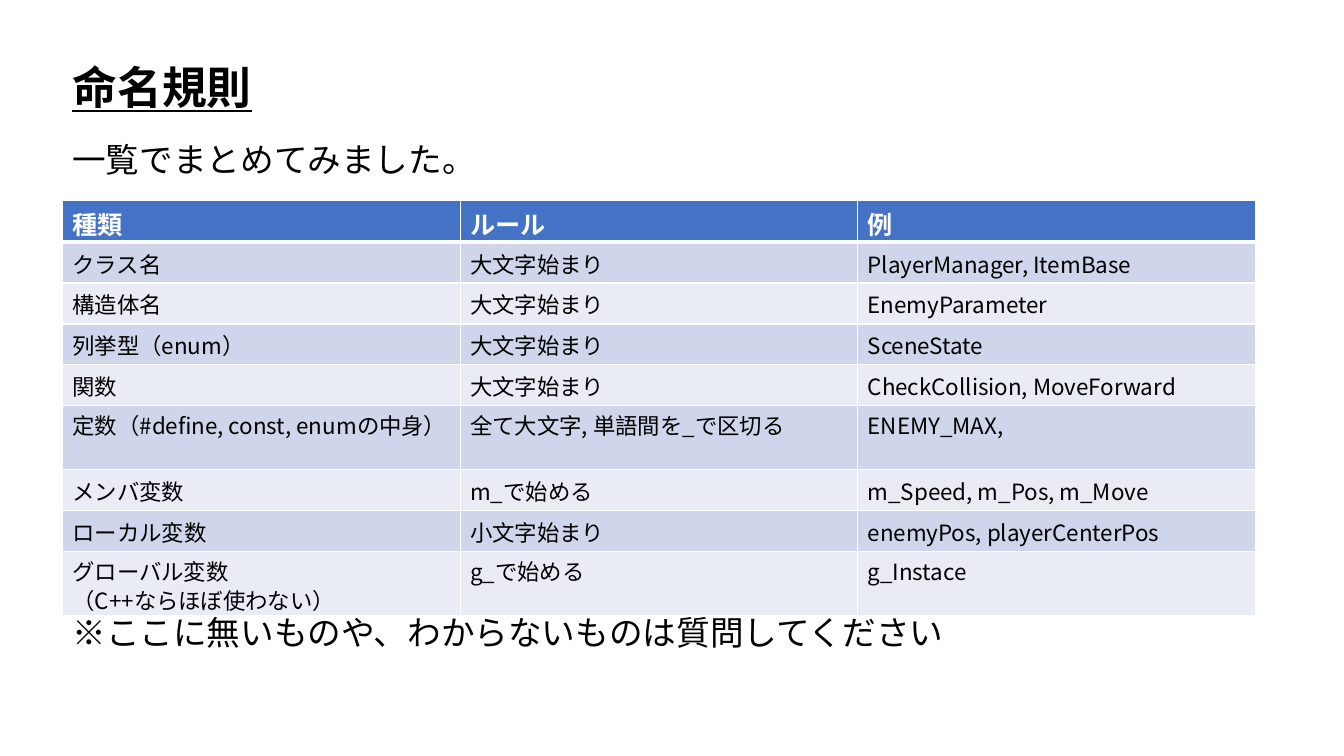
"""Build a slide that lists naming rules for code in a table."""
from lxml import etree
from pptx import Presentation
from pptx.dml.color import RGBColor
from pptx.enum.text import MSO_AUTO_SIZE
from pptx.oxml.ns import qn
from pptx.util import Inches, Pt

NO_AUTOSIZE = MSO_AUTO_SIZE.NONE
FONT = "Noto Sans CJK JP"
BLACK, WHITE, HEADER_FILL = "000000", "FFFFFF", "4472C4"
BAND_FILLS = ("CFD5EA", "E9EBF5")

LEFT, TABLE_TOP, TABLE_WIDTH = 0.62, 1.99, 11.83
ROW_POINTS, TALL_ROW_POINTS = 29.2, 45.8
TALL_ROWS = (5, 8)
TALL_LINE_SPACING, TALL_MARGIN = 0.9, 0.06

# (text, top, width, height, size, emphasised)
TEXTS = [
    ("命名規則", 0.54, 2, 0.64, 32, True),
    ("一覧でまとめてみました。", 1.33, 4.24, 0.5, 24, False),
    ("※ここに無いものや、わからないものは質問してください", 6.02, 8.95, 0.5, 24, False),
]
RULES = [
    ("種類", "ルール", "例"),
    ("クラス名", "大文字始まり", "PlayerManager, ItemBase"),
    ("構造体名", "大文字始まり", "EnemyParameter"),
    ("列挙型（enum）", "大文字始まり", "SceneState"),
    ("関数", "大文字始まり", "CheckCollision, MoveForward"),
    ("定数（#define, const, enumの中身）", "全て大文字, 単語間を_で区切る", "ENEMY_MAX,"),
    ("メンバ変数", "m_で始める", "m_Speed, m_Pos, m_Move"),
    ("ローカル変数", "小文字始まり", "enemyPos, playerCenterPos"),
    ("グローバル変数\n（C++ならほぼ使わない）", "g_で始める", "g_Instace"),
]


def color(value):
    """Turn a hex string into a colour."""
    return RGBColor.from_string(value)


def write(text_frame, text, size, hex_color, bold, underline=False):
    """Fill a text frame, one paragraph for each line."""
    text_frame.text = text
    for paragraph in text_frame.paragraphs:
        font = paragraph.font
        font.size, font.bold, font.underline = Pt(size), bold, underline
        font.color.rgb = color(hex_color)
        font.name = FONT
        properties = paragraph._p.pPr.find(qn("a:defRPr"))
        etree.SubElement(properties, qn("a:ea")).set("typeface", FONT)


def add_borders(cell, bottom_width, top_width):
    """Draw white lines on the four sides of a cell."""
    properties = cell._tc.get_or_add_tcPr()
    sides = (("lnL", 1), ("lnR", 1), ("lnT", top_width), ("lnB", bottom_width))
    for position, (side, width) in enumerate(sides):
        line = etree.Element(qn(f"a:{side}"), w=str(Pt(width)))
        fill = etree.SubElement(line, qn("a:solidFill"))
        etree.SubElement(fill, qn("a:srgbClr")).set("val", WHITE)
        properties.insert(position, line)


def tighten(cell):
    """Fit two lines of text into a tall row."""
    cell.margin_top = Inches(TALL_MARGIN)
    for paragraph in cell.text_frame.paragraphs:
        paragraph.line_spacing = TALL_LINE_SPACING


def add_rules_table(slide):
    """Add the table of rules with banded rows."""
    row_count, column_count = len(RULES), len(RULES[0])
    table = slide.shapes.add_table(
        row_count, column_count, Inches(LEFT), Inches(TABLE_TOP),
        Inches(TABLE_WIDTH), Pt(ROW_POINTS * row_count)).table
    for row_index, texts in enumerate(RULES):
        header, tall = row_index == 0, row_index in TALL_ROWS
        table.rows[row_index].height = Pt(TALL_ROW_POINTS if tall else ROW_POINTS)
        for column_index, text in enumerate(texts):
            cell = table.cell(row_index, column_index)
            write(cell.text_frame, text, 18 if header else 16,
                  WHITE if header else BLACK, header)
            cell.margin_bottom = 0
            if tall:
                tighten(cell)
            cell.fill.solid()
            cell.fill.fore_color.rgb = color(
                HEADER_FILL if header else BAND_FILLS[(row_index - 1) % 2])
            add_borders(cell, 3 if header else 1, 3 if row_index == 1 else 1)


def main():
    """Build and save the slide."""
    presentation = Presentation()
    presentation.slide_width = Inches(13.33)
    presentation.slide_height = Inches(7.5)
    slide = presentation.slides.add_slide(presentation.slide_layouts[6])
    add_rules_table(slide)
    for text, top, width, height, size, emphasised in TEXTS:
        box = slide.shapes.add_textbox(
            Inches(LEFT), Inches(top), Inches(width), Inches(height))
        box.text_frame.word_wrap = False
        box.text_frame.auto_size = NO_AUTOSIZE
        write(box.text_frame, text, size, BLACK, emphasised, emphasised)
    presentation.save("out.pptx")


if __name__ == "__main__":
    main()
